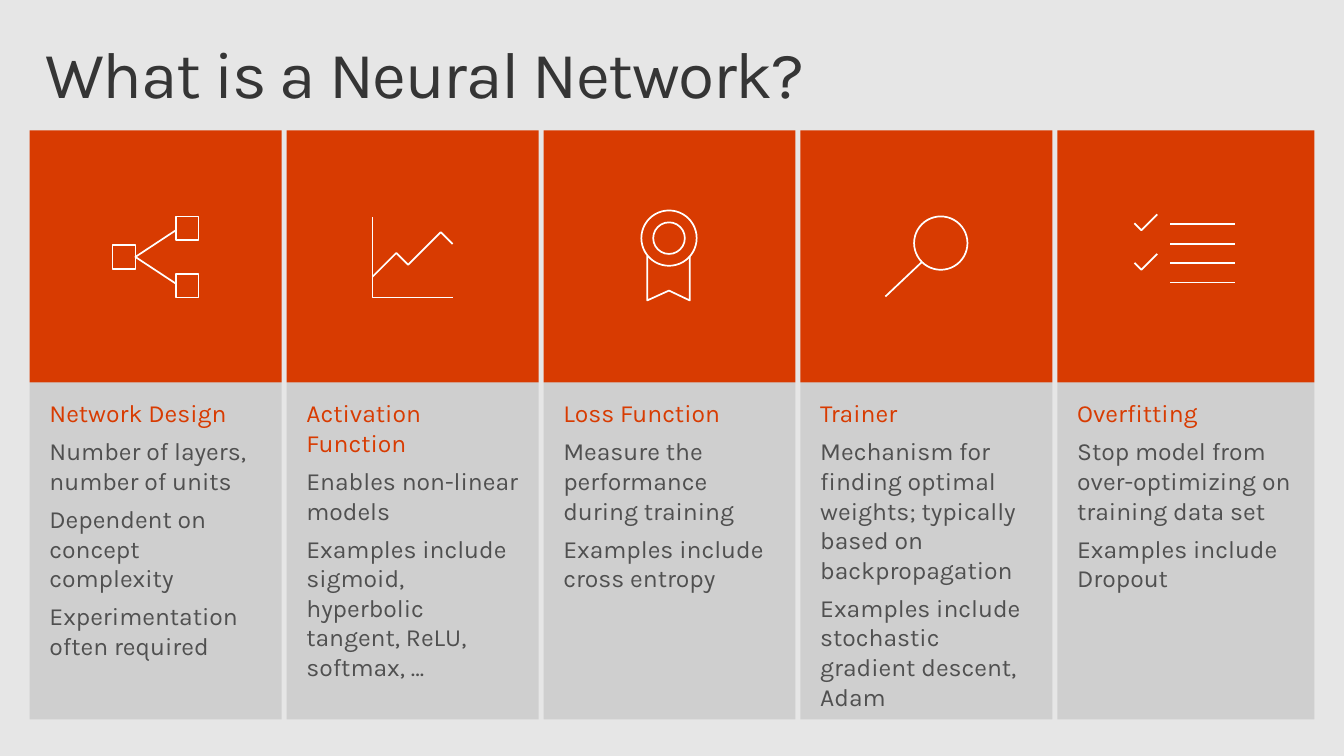
from dataclasses import dataclass

from lxml import etree
from pptx import Presentation
from pptx.dml.color import RGBColor
from pptx.enum.shapes import MSO_CONNECTOR, MSO_SHAPE
from pptx.enum.text import MSO_ANCHOR, MSO_AUTO_SIZE, PP_ALIGN
from pptx.oxml.ns import qn
from pptx.util import Inches, Pt

RECTANGLE, OVAL = MSO_SHAPE.RECTANGLE, MSO_SHAPE.OVAL
STRAIGHT = MSO_CONNECTOR.STRAIGHT
TOP, LEFT, NO_AUTOFIT = MSO_ANCHOR.TOP, PP_ALIGN.LEFT, MSO_AUTO_SIZE.NONE

Stroke = list[tuple[float, float]]


@dataclass(frozen=True)
class Theme:
    font: str = "Karla"
    background: RGBColor = RGBColor(0xE6, 0xE6, 0xE6)
    accent: RGBColor = RGBColor(0xD8, 0x3B, 0x01)
    dark: RGBColor = RGBColor(0x35, 0x35, 0x35)
    body: RGBColor = RGBColor(0x50, 0x50, 0x50)
    icon: RGBColor = RGBColor(0xFF, 0xFF, 0xFF)
    panel_opacity: int = 13
    title_size: int = 48
    body_size: int = 18
    paragraph_gap: int = 6
    icon_line: float = 1.25


@dataclass(frozen=True)
class Circle:
    x: float
    y: float
    radius: float


@dataclass(frozen=True)
class Icon:
    strokes: list[Stroke]
    circles: tuple[Circle, ...] = ()


@dataclass(frozen=True)
class Card:
    heading: str
    points: list[str]
    icon: Icon
    width: float = 2.55


THEME = Theme()

# Card grid, in inches
FIRST_LEFT, CARD_PITCH = 0.3, 2.6
TILE_TOP, TILE_HEIGHT, PANEL_HEIGHT = 1.32, 2.55, 3.41


def node(left: float, top: float) -> Stroke:
    right, bottom = left + 0.23, top + 0.24
    return [(left, top), (right, top), (right, bottom), (left, bottom), (left, top)]


def check(top: float) -> Stroke:
    return [(11.48, top + 0.09), (11.55, top + 0.16), (11.71, top)]


# Icons, in slide inches
NETWORK = Icon([node(1.78, 2.19), node(1.78, 2.77), node(1.14, 2.48),
                [(1.78, 2.33), (1.37, 2.6), (1.78, 2.87)]])
LINE_GRAPH = Icon([[(4.58, 3.01), (3.77, 3.01), (3.77, 2.2)],
                   [(4.58, 2.47), (4.46, 2.35), (4.13, 2.68), (4.01, 2.56), (3.77, 2.8)]])
RIBBON = Icon([[(6.55, 2.59), (6.55, 3.04), (6.77, 2.94), (6.98, 3.04), (6.98, 2.59)]],
              (Circle(6.77, 2.41, 0.16), Circle(6.77, 2.41, 0.28)))
MAGNIFIER = Icon([[(8.96, 3.0), (9.33, 2.65)]], (Circle(9.52, 2.46, 0.27),))
CHECKLIST = Icon([check(2.17), check(2.57)]
                 + [[(11.84, y), (12.5, y)] for y in (2.27, 2.47, 2.66, 2.86)])

CARDS = [
    Card("Network Design",
         ["Number of layers, number of units",
          "Dependent on concept complexity",
          "Experimentation often required"], NETWORK),
    Card("Activation Function",
         ["Enables non-linear models",
          "Examples include sigmoid, hyperbolic tangent, ReLU, softmax, …"], LINE_GRAPH),
    Card("Loss Function",
         ["Measure the performance during training",
          "Examples include cross entropy"], RIBBON),
    Card("Trainer",
         ["Mechanism for finding optimal weights; typically based on backpropagation",
          "Examples include stochastic gradient descent, Adam"], MAGNIFIER),
    Card("Overfitting",
         ["Stop model from over-optimizing on training data set",
          "Examples include Dropout"], CHECKLIST, width=2.6),
]


def set_frame(frame, inset_x: float, inset_y: float) -> None:
    frame.word_wrap = True
    frame.auto_size = NO_AUTOFIT
    frame.vertical_anchor = TOP
    frame.margin_left = frame.margin_right = Inches(inset_x)
    frame.margin_top = frame.margin_bottom = Inches(inset_y)


def format_paragraph(paragraph, size: int, color: RGBColor) -> None:
    paragraph.alignment = LEFT
    for run in paragraph.runs:
        run.font.name = THEME.font
        run.font.size = Pt(size)
        run.font.color.rgb = color


def add_title(slide, text: str) -> None:
    title = slide.shapes.title
    title.left, title.top = Inches(0.3), Inches(0.32)
    title.width, title.height = Inches(13), Inches(1)
    set_frame(title.text_frame, 0.16, 0.1)
    title.text_frame.text = text
    heading = title.text_frame.paragraphs[0]
    heading.line_spacing = 0.9
    format_paragraph(heading, THEME.title_size, THEME.dark)
    heading.runs[0].font._element.set("spc", "-100")


def add_block(slide, left: float, top: float, width: float, height: float, color: RGBColor):
    block = slide.shapes.add_shape(
        RECTANGLE, Inches(left), Inches(top), Inches(width), Inches(height))
    block.shadow.inherit = False
    block.fill.solid()
    block.fill.fore_color.rgb = color
    block.line.fill.background()
    return block


def style_outline(shape) -> None:
    shape.line.color.rgb = THEME.icon
    shape.line.width = Pt(THEME.icon_line)


def style_hollow(shape) -> None:
    shape.shadow.inherit = False
    shape.fill.background()
    style_outline(shape)


def draw_icon(slide, icon: Icon) -> None:
    for circle in icon.circles:
        diameter = Inches(2 * circle.radius)
        style_hollow(slide.shapes.add_shape(
            OVAL, Inches(circle.x - circle.radius), Inches(circle.y - circle.radius),
            diameter, diameter))
    outline = None
    for stroke in icon.strokes:
        start, *rest = [(Inches(x), Inches(y)) for x, y in stroke]
        if len(rest) == 1:
            line = slide.shapes.add_connector(STRAIGHT, *start, *rest[0])
            style_outline(line)
            etree.SubElement(line._element.spPr, qn("a:effectLst"))
            continue
        if outline is None:
            outline = slide.shapes.build_freeform(*start)
        else:
            outline.move_to(*start)
        outline.add_line_segments(rest, close=False)
    if outline is not None:
        style_hollow(outline.convert_to_shape())


def add_card(slide, card: Card, left: float) -> None:
    add_block(slide, left, TILE_TOP, card.width, TILE_HEIGHT, THEME.accent)
    panel = add_block(slide, left, TILE_TOP + TILE_HEIGHT, card.width, PANEL_HEIGHT, THEME.dark)
    # Panel transparency
    tint = panel._element.spPr.find(qn("a:solidFill"))[0]
    etree.SubElement(tint, qn("a:alpha"), val=str(THEME.panel_opacity * 1000))

    frame = panel.text_frame
    set_frame(frame, 0.2, 0.16)
    frame.text = "\n".join([card.heading, *card.points])
    heading, *points = frame.paragraphs
    format_paragraph(heading, THEME.body_size, THEME.accent)
    for point in points:
        point.space_before = Pt(THEME.paragraph_gap)
        format_paragraph(point, THEME.body_size, THEME.body)
    draw_icon(slide, card.icon)


def main() -> None:
    deck = Presentation()
    deck.slide_width, deck.slide_height = Inches(13.6), Inches(7.65)
    slide = deck.slides.add_slide(deck.slide_layouts.get_by_name("Title Only"))
    slide.background.fill.solid()
    slide.background.fill.fore_color.rgb = THEME.background
    add_title(slide, "What is a Neural Network?")
    for index, card in enumerate(CARDS):
        add_card(slide, card, FIRST_LEFT + index * CARD_PITCH)
    deck.save("out.pptx")


if __name__ == "__main__":
    main()
